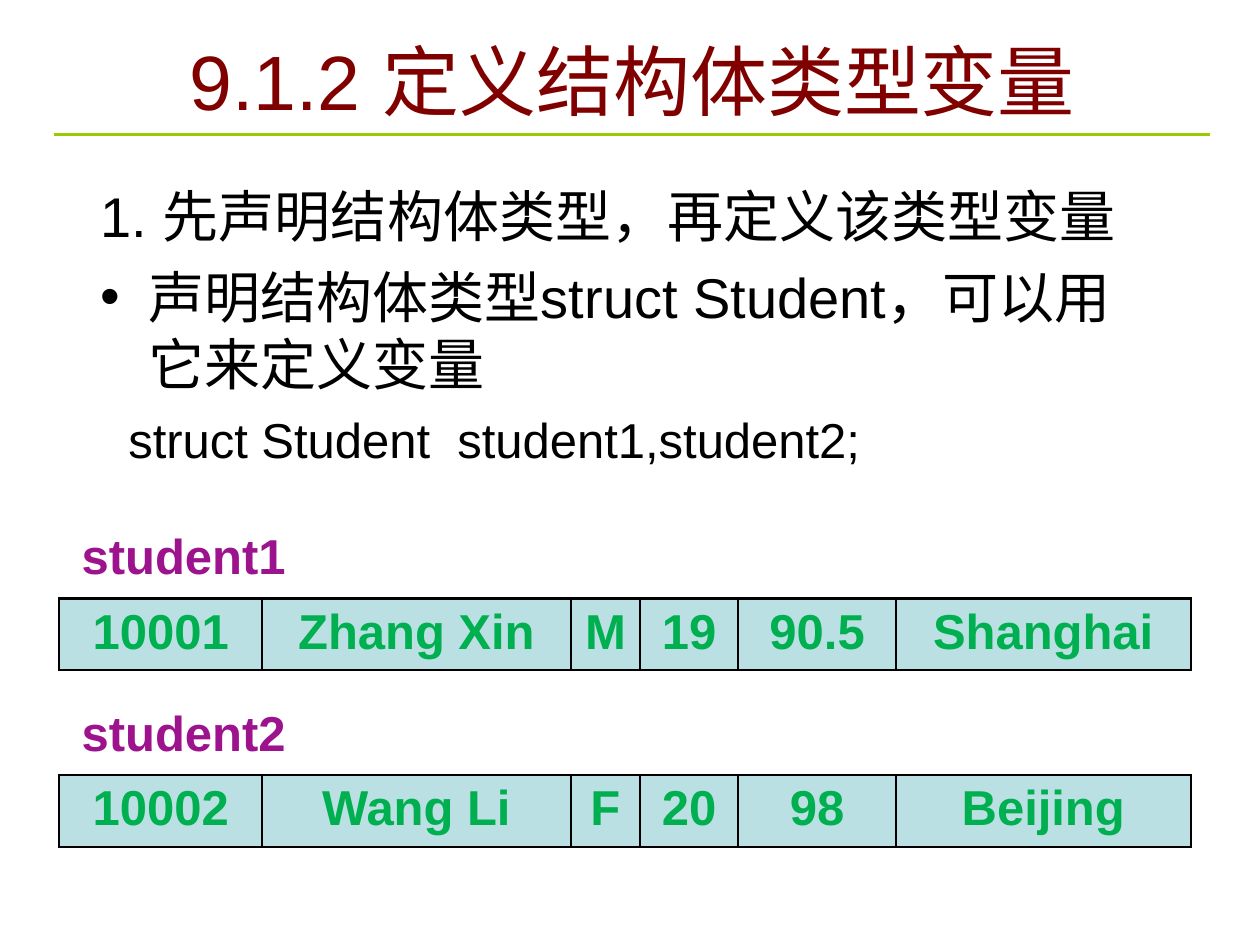
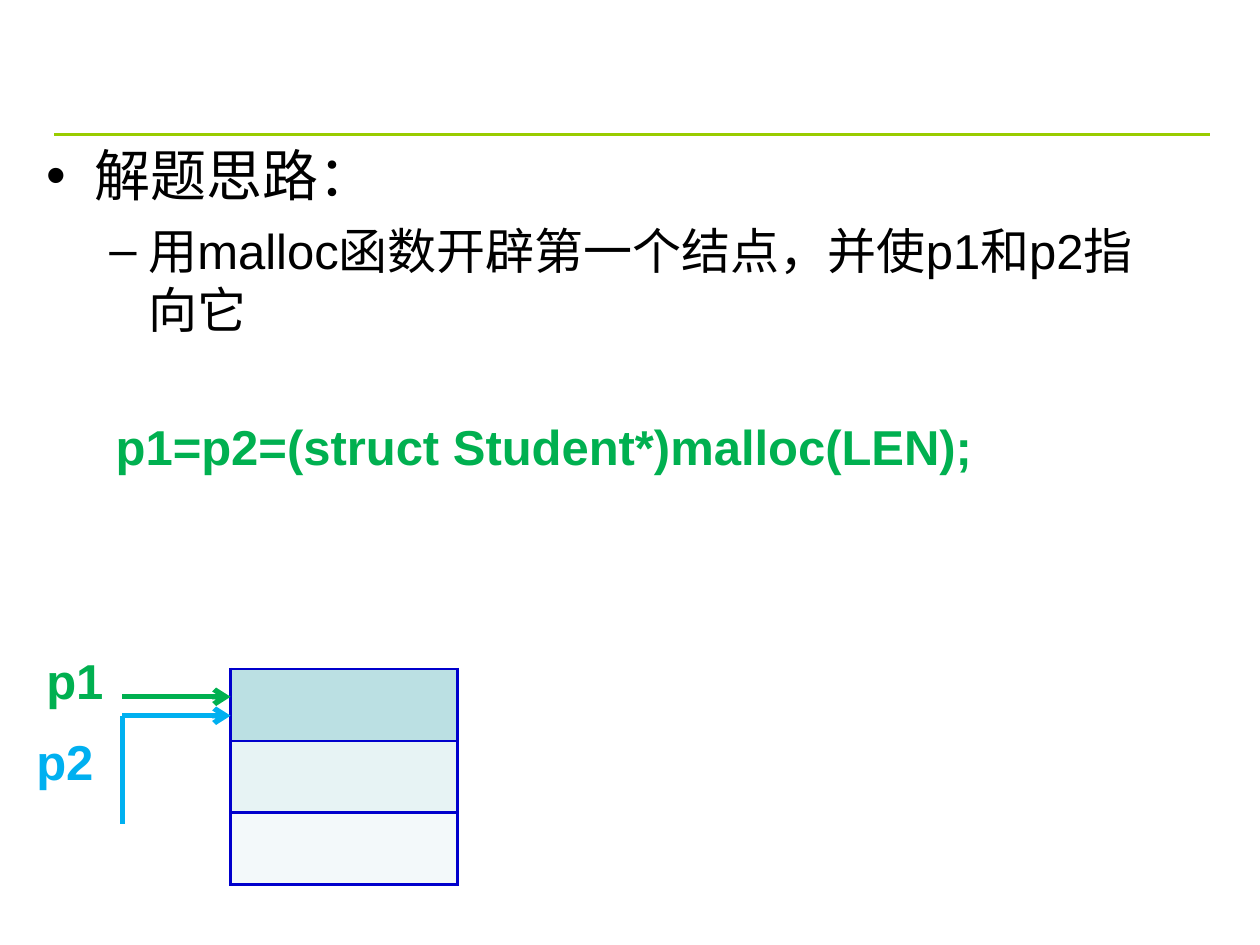
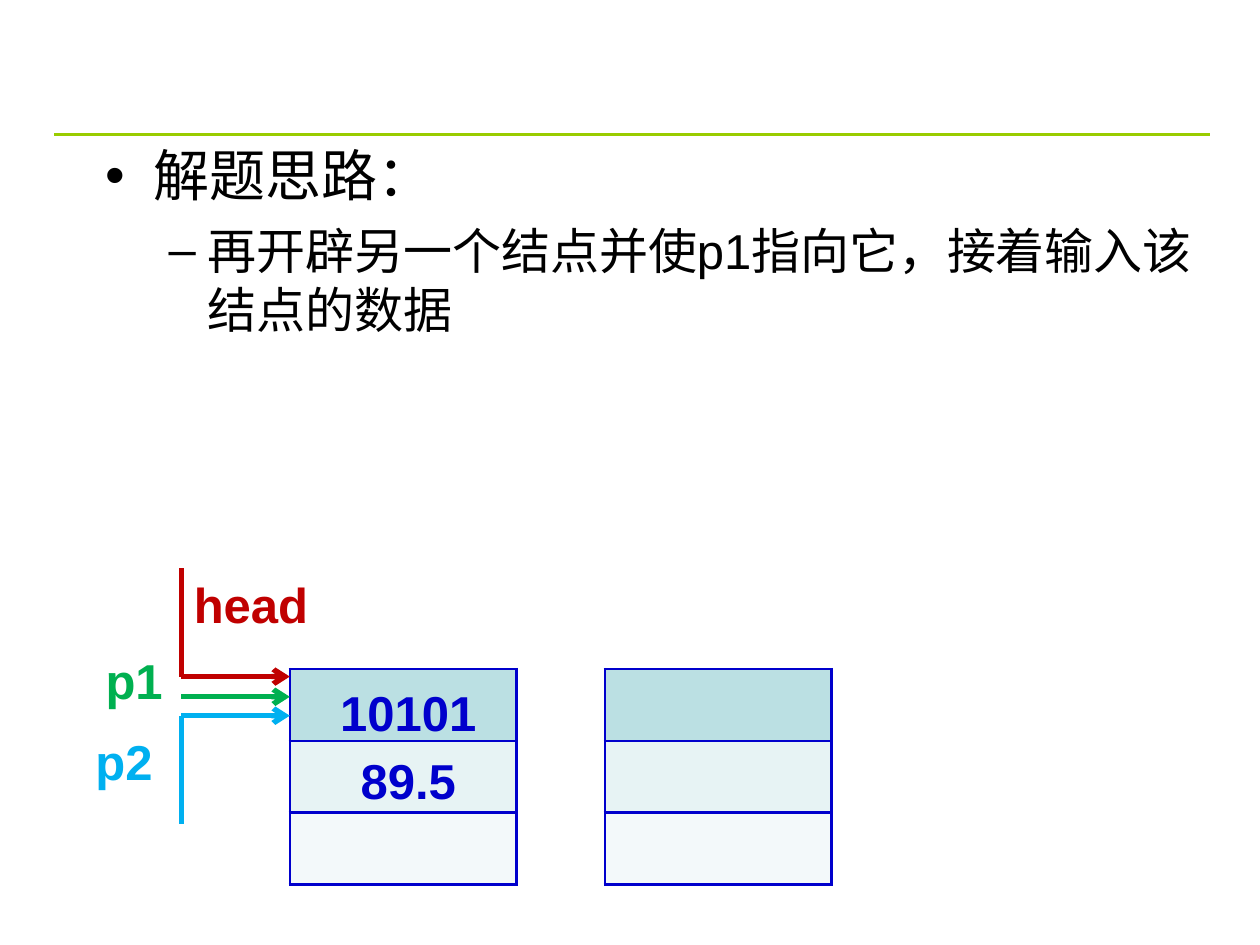
from pptx import Presentation
from pptx.dml.color import RGBColor
from pptx.enum.shapes import MSO_CONNECTOR
from pptx.enum.text import MSO_ANCHOR, PP_ALIGN
from pptx.oxml.ns import qn
from pptx.util import Inches, Pt
from lxml.etree import SubElement

rgb = RGBColor.from_string

# Shared look
FONT = "Arial"
BLACK, MAROON, PURPLE, NAVY = "000000", "800000", "9D138D", "0000CC"
GREEN, SKY, RED, LIME = "00B050", "00B0F0", "C00000", "99CC00"
NODE_FILLS = ["BBE0E3", "E7F3F4", "F3F9FA"]
# Paragraph styles: size, left margin, first-line indent, space before, bullet
STYLES = {
    "title": (44, 0, 0, 0, None),
    "label": (28, 0, 0, 0, None),
    "numbered": (32, 0.38, -0.38, 8, None),
    "bullet": (32, 0.38, -0.38, 8, "•"),
    "dash": (28, 0.81, -0.31, 7, "–"),
    "code": (28, 0.38, -0.16, 7, None),
}


def add_text(slide, left, top, width, height, paragraphs, color=BLACK,
             bold=False, align=PP_ALIGN.LEFT):
    box = slide.shapes.add_textbox(Inches(left), Inches(top), Inches(width), Inches(height))
    frame = box.text_frame
    frame.word_wrap = True
    for i, (style, text) in enumerate(paragraphs):
        size, margin, indent, before, bullet = STYLES[style]
        paragraph = frame.add_paragraph() if i else frame.paragraphs[0]
        paragraph.text = text
        paragraph.alignment = align
        if i and before:
            paragraph.space_before = Pt(before)
        properties = paragraph._p.get_or_add_pPr()
        properties.set("marL", str(Inches(margin)))
        properties.set("indent", str(Inches(indent)))
        if bullet:
            SubElement(properties, qn("a:buFont")).set("typeface", FONT)
            SubElement(properties, qn("a:buChar")).set("char", bullet)
        font = paragraph.font
        font.name, font.size, font.bold = FONT, Pt(size), bold
        font.color.rgb = rgb(color)
    return frame


def add_line(slide, x1, y1, x2, y2, color, width=3, arrow=False):
    line = slide.shapes.add_connector(
        MSO_CONNECTOR.STRAIGHT, Inches(x1), Inches(y1), Inches(x2), Inches(y2))
    line.line.color.rgb = rgb(color)
    line.line.width = Pt(width)
    if arrow:
        SubElement(line.line._get_or_add_ln(), qn("a:tailEnd")).set("type", "arrow")
    SubElement(line._element.spPr, qn("a:effectLst"))


prs = Presentation()
prs.slide_width, prs.slide_height = Inches(10), Inches(7.5)
slides = [prs.slides.add_slide(prs.slide_layouts[6]) for _ in range(3)]
variables, first_node, second_node = slides

# Rule under the title area
for slide in slides:
    add_line(slide, 0.43, 1.07, 9.6, 1.07, LIME, 1.5)

# Tables: student records and list nodes
record_widths = [1.61, 2.45, 0.55, 0.78, 1.25, 2.34]
student1 = [["10001", "Zhang Xin", "M", "19", "90.5", "Shanghai"]]
student2 = [["10002", "Wang Li", "F", "20", "98", "Beijing"]]
empty_node = [[""]] * 3
tables = [
    (variables, 0.47, 4.75, record_widths, student1, BLACK),
    (variables, 0.47, 6.15, record_widths, student2, BLACK),
    (first_node, 1.83, 5.31, [1.8], empty_node, NAVY),
    (second_node, 2.3, 5.31, [1.8], empty_node, NAVY),
    (second_node, 4.8, 5.31, [1.8], empty_node, NAVY),
]
for slide, left, top, widths, rows, border in tables:
    table = slide.shapes.add_table(
        len(rows), len(widths), Inches(left), Inches(top),
        Inches(sum(widths)), Inches(0.57 * len(rows))).table
    table.first_row = table.horz_banding = False
    for column, width in zip(table.columns, widths):
        column.width = Inches(width)
    for r, row in enumerate(rows):
        for c, value in enumerate(row):
            cell = table.cell(r, c)
            for side in ("lnL", "lnR", "lnT", "lnB"):
                edge = SubElement(cell._tc.get_or_add_tcPr(), qn(f"a:{side}"), w=str(Pt(1.47)))
                SubElement(SubElement(edge, qn("a:solidFill")), qn("a:srgbClr"), val=border)
            cell.fill.solid()
            cell.fill.fore_color.rgb = rgb(NODE_FILLS[r])
            if value:
                cell.text = value
                paragraph = cell.text_frame.paragraphs[0]
                paragraph.alignment = PP_ALIGN.CENTER
                font = paragraph.font
                font.name, font.size, font.bold = FONT, Pt(28), True
                font.color.rgb = rgb(GREEN)

# Slide 1: defining structure variables
title = add_text(variables, 1.22, 0.21, 7.6, 0.84, [("title", "9.1.2 定义结构体类型变量")],
                 MAROON, align=PP_ALIGN.CENTER)
title.vertical_anchor = MSO_ANCHOR.MIDDLE
add_text(variables, 0.7, 1.39, 8.59, 2.5, [
    ("numbered", "1. 先声明结构体类型，再定义该类型变量"),
    ("bullet", "声明结构体类型struct Student，可以用它来定义变量"),
    ("code", "struct Student  student1,student2;"),
])
for name, top in [("student1", 4.12), ("student2", 5.53)]:
    add_text(variables, 0.55, top, 2.34, 0.57, [("label", name)], PURPLE, True)

# Slides 2 and 3: solution steps, with pointers p1 and p2 to the first node
steps = [
    (first_node, 0.27, 0.97, "用malloc函数开辟第一个结点，并使p1和p2指向它"),
    (second_node, 0.74, 1.44, "再开辟另一个结点并使p1指向它，接着输入该结点的数据"),
]
for slide, left, start, step in steps:
    node_left = start + 0.86
    add_text(slide, left, 1.07, 9.14, 2.03, [("bullet", "解题思路："), ("dash", step)])
    add_text(slide, left, 5.11, 0.86, 0.57, [("label", "p1")], GREEN, True)
    add_line(slide, start, 5.53, node_left, 5.53, GREEN, arrow=True)
    add_text(slide, left - 0.08, 5.76, 0.86, 0.57, [("label", "p2")], SKY, True)
    add_line(slide, start, 5.68, node_left, 5.68, SKY, arrow=True)
    add_line(slide, start, 5.68, start, 6.54, SKY)

# Slide 2: allocation statement
add_text(first_node, 0.82, 3.26, 8.83, 0.57,
         [("label", "p1=p2=(struct Student*)malloc(LEN);")], GREEN, True)

# Slide 3: head pointer and data of the first node
add_text(second_node, 1.44, 4.51, 1.33, 0.57, [("label", "head")], RED, True)
add_line(second_node, 1.44, 5.37, 2.3, 5.37, RED, arrow=True)
add_line(second_node, 1.44, 4.51, 1.44, 5.37, RED)
node_data = add_text(second_node, 2.38, 5.29, 1.72, 1.19,
                     [("label", "10101"), ("label", "89.5")], NAVY, True, PP_ALIGN.CENTER)
for paragraph in node_data.paragraphs:
    paragraph.line_spacing = Pt(39)

prs.save("out.pptx")
